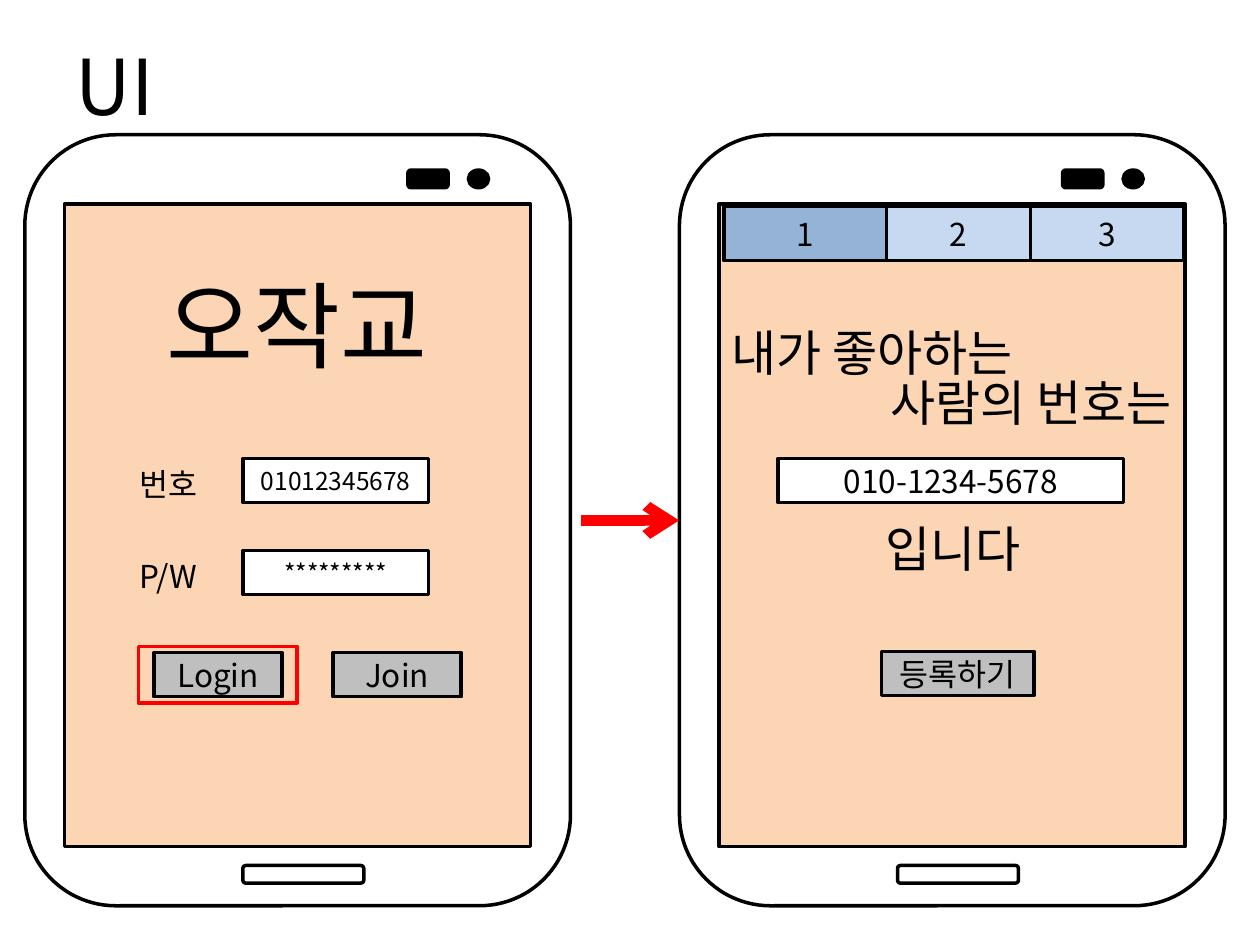
from lxml.etree import SubElement
from pptx import Presentation
from pptx.dml.color import RGBColor
from pptx.enum.shapes import MSO_CONNECTOR, MSO_SHAPE
from pptx.enum.text import MSO_ANCHOR, PP_ALIGN
from pptx.oxml.ns import qn
from pptx.util import Pt

FONT = "Noto Sans CJK KR"
BLACK = RGBColor(0x00, 0x00, 0x00)
WHITE = RGBColor(0xFF, 0xFF, 0xFF)
RED = RGBColor(0xFF, 0x00, 0x00)
PEACH = RGBColor(0xFC, 0xD5, 0xB5)
GRAY = RGBColor(0xBF, 0xBF, 0xBF)
ACTIVE_TAB = RGBColor(0x95, 0xB3, 0xD7)
IDLE_TAB = RGBColor(0xC6, 0xD9, 0xF1)
CONTROL_HEIGHT = 25.2


def write(text_frame, text, size, *alignments):
    """Set the text, giving each paragraph its alignment."""
    text_frame.text = text
    text_frame.word_wrap = True
    for paragraph, alignment in zip(text_frame.paragraphs, alignments):
        paragraph.alignment = alignment
        for span in paragraph.runs:
            span.font.size = Pt(size)
            span.font.name = FONT
            span.font.color.rgb = BLACK
            SubElement(span.font._element, qn("a:ea"), typeface=FONT)


def add_box(page, left, top, width, height, fill=None, line=BLACK,
            kind=MSO_SHAPE.RECTANGLE, text="", size=18):
    """Add an outlined shape with optional fill and centred text."""
    box = page.shapes.add_shape(kind, Pt(left), Pt(top), Pt(width), Pt(height))
    box.shadow.inherit = False
    if fill is None:
        box.fill.background()
    else:
        box.fill.solid()
        box.fill.fore_color.rgb = fill
    box.line.color.rgb = line
    box.line.width = Pt(2)
    if text:
        write(box.text_frame, text, size, PP_ALIGN.CENTER)
        box.text_frame.vertical_anchor = MSO_ANCHOR.MIDDLE
    return box


def add_label(page, left, top, width, height, text, size, *alignments):
    """Add a plain text box."""
    label = page.shapes.add_textbox(Pt(left), Pt(top), Pt(width), Pt(height))
    write(label.text_frame, text, size, *alignments)
    return label


def add_title(page, left, top, width, height):
    """Place the slide title."""
    title = page.shapes.title
    title.left, title.top = Pt(left), Pt(top)
    title.width, title.height = Pt(width), Pt(height)
    write(title.text_frame, "UI", 44, PP_ALIGN.LEFT)
    title.text_frame.vertical_anchor = MSO_ANCHOR.MIDDLE


def add_phone(page, left, top, width, height):
    """Draw a phone and return the left and top of its screen."""
    rounded = MSO_SHAPE.ROUNDED_RECTANGLE
    add_box(page, left, top, width, height, WHITE, kind=rounded)
    add_box(page, left + 124.6, top + 417.6, 69.1, 10.1, WHITE, kind=rounded)
    add_box(page, left + 253.5, top + 20.2, 11.5, 10.1, BLACK, kind=MSO_SHAPE.OVAL)
    add_box(page, left + 218.9, top + 20.2, 23, 10.1, BLACK, kind=rounded)
    add_box(page, left + 22.6, top + 39.6, 266.4, 367.2, PEACH)
    return left + 22.6, top + 39.6


def add_login_screen(page, left, top):
    """Fill a screen with the login form."""
    add_label(page, left + 42.2, top + 32.4, 181.4, 63.4, "오작교", 54, PP_ALIGN.CENTER)
    fields = [("번호", "01012345678"), ("P/W", "*********")]
    for row, (name, value) in enumerate(fields):
        y = top + 145.4 + row * 52.6
        add_label(page, left + 36, y, 67.7, CONTROL_HEIGHT, name, 18, PP_ALIGN.LEFT)
        add_box(page, left + 102.2, y, 105.8, CONTROL_HEIGHT, WHITE, text=value, size=14)
    for column, name in enumerate(["Login", "Join"]):
        add_box(page, left + 51.1 + column * 102.3, top + 256.3, 73.4,
                CONTROL_HEIGHT, GRAY, text=name)
    add_box(page, left + 42.3, top + 252.7, 90.7, 32.4, line=RED)


def add_register_screen(page, left, top):
    """Fill a screen with the tabs and the number form."""
    x = left + 2.9
    tabs = [("1", 92.9, ACTIVE_TAB), ("2", 82.1, IDLE_TAB), ("3", 87.8, IDLE_TAB)]
    for name, width, fill in tabs:
        add_box(page, x, top + 1.4, width, 31, fill, text=name)
        x += width
    prompt = add_label(page, left, top + 69.1, 265.7, 65.5, "내가 좋아하는\n사람의 번호는",
                       28, PP_ALIGN.LEFT, PP_ALIGN.RIGHT)
    for paragraph in prompt.text_frame.paragraphs:
        paragraph.line_spacing = 0.85
    add_box(page, left + 33.8, top + 145.4, 197.3, CONTROL_HEIGHT, WHITE,
            text="010-1234-5678")
    add_label(page, left + 0.7, top + 176.4, 265.7, 36, "입니다", 28, PP_ALIGN.CENTER)
    add_box(page, left + 92.9, top + 255.6, 87.1, CONTROL_HEIGHT, GRAY, text="등록하기")


def add_arrow(page, start, end, y):
    """Draw the red arrow from one phone to the next."""
    arrow = page.shapes.add_connector(MSO_CONNECTOR.STRAIGHT, Pt(start), Pt(y), Pt(end), Pt(y))
    arrow.line.color.rgb = RED
    arrow.line.width = Pt(6)
    SubElement(arrow.line._get_or_add_ln(), qn("a:tailEnd"), type="arrow")
    SubElement(arrow._element.spPr, qn("a:effectLst"))


def main():
    """Build and save the slide."""
    deck = Presentation()
    deck.slide_width, deck.slide_height = Pt(720), Pt(540)
    page = deck.slides.add_slide(deck.slide_layouts[5])
    add_title(page, 36, 3.6, 648, 90)
    for left, fill_screen in [(14.2, add_login_screen), (388.3, add_register_screen)]:
        fill_screen(page, *add_phone(page, left, 77, 311.8, 440.6))
    add_arrow(page, 331.9, 388.1, 297.4)
    deck.save("out.pptx")


if __name__ == "__main__":
    main()
